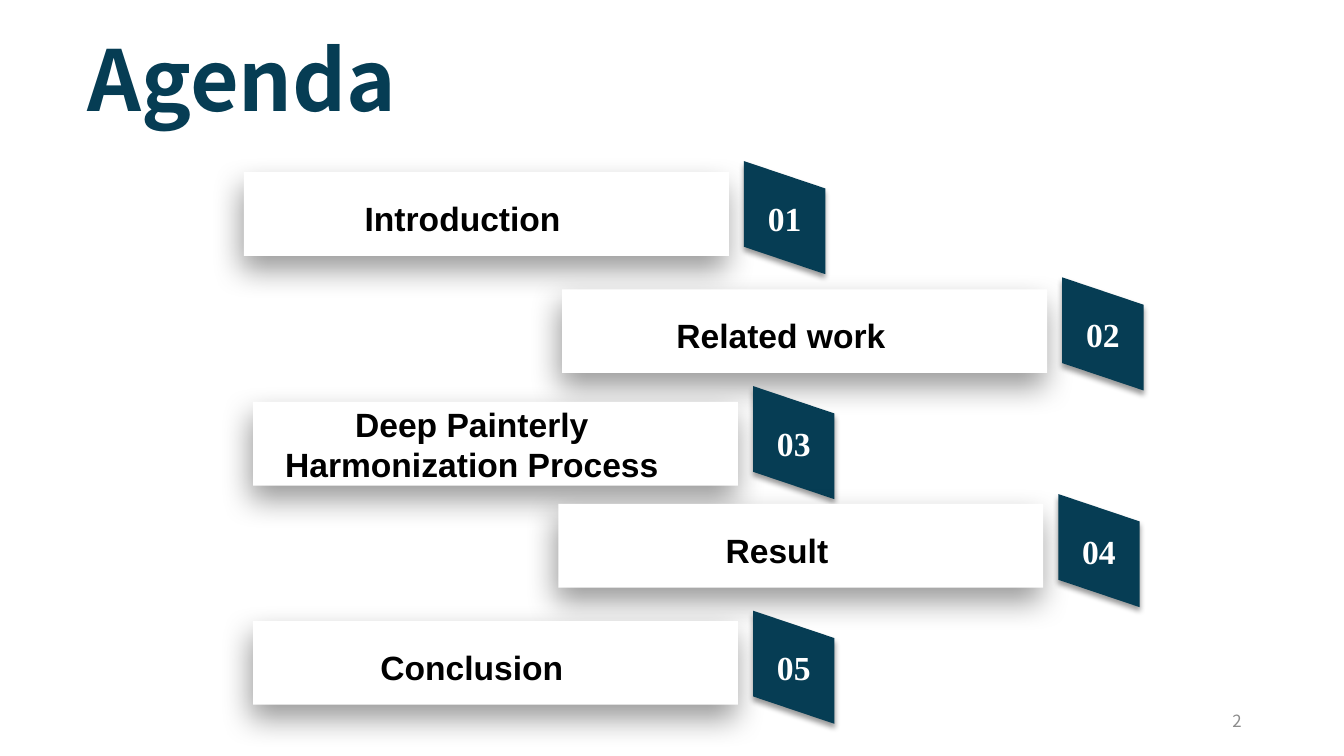
"""Build the agenda slide with five numbered, staggered topic bars."""
from dataclasses import dataclass

import lxml.etree
import pptx
import pptx.dml.color
import pptx.enum.text
import pptx.oxml.ns
import pptx.shapes.autoshape
import pptx.slide
import pptx.text.text
import pptx.util
from pptx.enum.shapes import MSO_SHAPE
from pptx.util import Cm

COLORS = {"navy": "063D54", "white": "FFFFFF", "black": "000000", "gray": "8C8C8C"}
HEADING_FONT = "Noto Sans CJK SC"
BAR_WIDTH, BAR_HEIGHT = 12.22, 2.11
TAG_OFFSET, TAG_WIDTH, TAG_SIDE, TAG_SLANT = 12.6, 2.05, 2.16, 0.69
ALIGN = pptx.enum.text.PP_ALIGN


@dataclass(frozen=True)
class Topic:
    title: str
    left: float
    bar_top: float
    tag_top: float
    line_spacing: float = 1.2


@dataclass(frozen=True)
class Shadow:
    blur: float
    distance: float
    angle: int


@dataclass(frozen=True)
class TextStyle:
    font: str
    size: int
    color: str
    bold: bool = True
    align: ALIGN = ALIGN.CENTER


TOPICS = [
    Topic("Introduction", 6.15, 4.34, 4.06),
    Topic("Related work", 14.17, 7.29, 6.99),
    Topic("Deep Painterly Harmonization Process", 6.38, 10.13, 9.73, 1.0),
    Topic("Result", 14.07, 12.7, 12.45),
    Topic("Conclusion", 6.38, 15.65, 15.39),
]
BAR_SHADOW = Shadow(22, 10, 101)
TAG_SHADOW = Shadow(4, 3, 90)
BAR_STYLE = TextStyle("Arial", 24, "black")
TAG_STYLE = TextStyle("Times New Roman", 24, "white")
TITLE_STYLE = TextStyle(HEADING_FONT, 60, "navy", align=ALIGN.LEFT)
PAGE_STYLE = TextStyle(HEADING_FONT, 12, "gray", False, ALIGN.RIGHT)


def rgb(name: str) -> pptx.dml.color.RGBColor:
    """Return the named palette colour."""
    return pptx.dml.color.RGBColor.from_string(COLORS[name])


def write(frame: pptx.text.text.TextFrame, text: str, style: TextStyle,
          anchor: pptx.enum.text.MSO_ANCHOR = pptx.enum.text.MSO_ANCHOR.MIDDLE) -> None:
    """Fill a text frame with one styled paragraph."""
    frame.word_wrap = True
    frame.vertical_anchor = anchor
    paragraph = frame.paragraphs[0]
    paragraph.text = text
    paragraph.alignment = style.align
    paragraph.font.name = style.font
    paragraph.font.size = pptx.util.Pt(style.size)
    paragraph.font.bold = style.bold
    paragraph.font.color.rgb = rgb(style.color)


def paint(shape: pptx.shapes.autoshape.Shape, fill: str, shadow: Shadow) -> None:
    """Give a shape a solid fill, no outline and a soft shadow."""
    shape.fill.solid()
    shape.fill.fore_color.rgb = rgb(fill)
    shape.line.fill.background()
    shape.shadow.inherit = False
    qn = pptx.oxml.ns.qn
    effects = shape.element.spPr.find(qn("a:effectLst"))
    outer = lxml.etree.SubElement(
        effects, qn("a:outerShdw"),
        blurRad=str(pptx.util.Pt(shadow.blur)), dist=str(pptx.util.Pt(shadow.distance)),
        dir=str(shadow.angle * 60000), algn="t", rotWithShape="0")
    color = lxml.etree.SubElement(outer, qn("a:srgbClr"), val=COLORS["black"])
    lxml.etree.SubElement(color, qn("a:alpha"), val="40000")


def draw_bar(slide: pptx.slide.Slide, topic: Topic) -> None:
    """Draw the white bar that holds a topic title."""
    bar = slide.shapes.add_shape(MSO_SHAPE.RECTANGLE, Cm(topic.left), Cm(topic.bar_top),
                                 Cm(BAR_WIDTH), Cm(BAR_HEIGHT))
    paint(bar, "white", BAR_SHADOW)
    frame = bar.text_frame
    frame.margin_left, frame.margin_right = Cm(0.3), Cm(1.5)
    frame.margin_top = frame.margin_bottom = 0
    write(frame, topic.title, BAR_STYLE)
    frame.paragraphs[0].line_spacing = topic.line_spacing


def draw_tag(slide: pptx.slide.Slide, topic: Topic, number: int) -> None:
    """Draw the slanted number tag beside a bar."""
    left, top = topic.left + TAG_OFFSET, topic.tag_top
    right = left + TAG_WIDTH
    outline = slide.shapes.build_freeform(Cm(left), Cm(top))
    outline.add_line_segments([
        (Cm(left), Cm(top + TAG_SIDE)),
        (Cm(right), Cm(top + TAG_SLANT + TAG_SIDE)),
        (Cm(right), Cm(top + TAG_SLANT)),
    ])
    tag = outline.convert_to_shape()
    paint(tag, "navy", TAG_SHADOW)
    write(tag.text_frame, f"{number:02d}", TAG_STYLE)


def main() -> None:
    """Assemble and save the slide."""
    deck = pptx.Presentation()
    deck.slide_width, deck.slide_height = Cm(33.87), Cm(19.05)
    slide = deck.slides.add_slide(deck.slide_layouts[6])
    for number, topic in enumerate(TOPICS, start=1):
        draw_bar(slide, topic)
        draw_tag(slide, topic, number)
    title = slide.shapes.add_textbox(Cm(1.96), Cm(0.58), Cm(10.19), Cm(2.82))
    write(title.text_frame, "Agenda", TITLE_STYLE, pptx.enum.text.MSO_ANCHOR.TOP)
    page_number = slide.shapes.add_textbox(Cm(23.92), Cm(17.66), Cm(7.62), Cm(1.01))
    write(page_number.text_frame, "2", PAGE_STYLE)
    deck.save("out.pptx")


if __name__ == "__main__":
    main()
